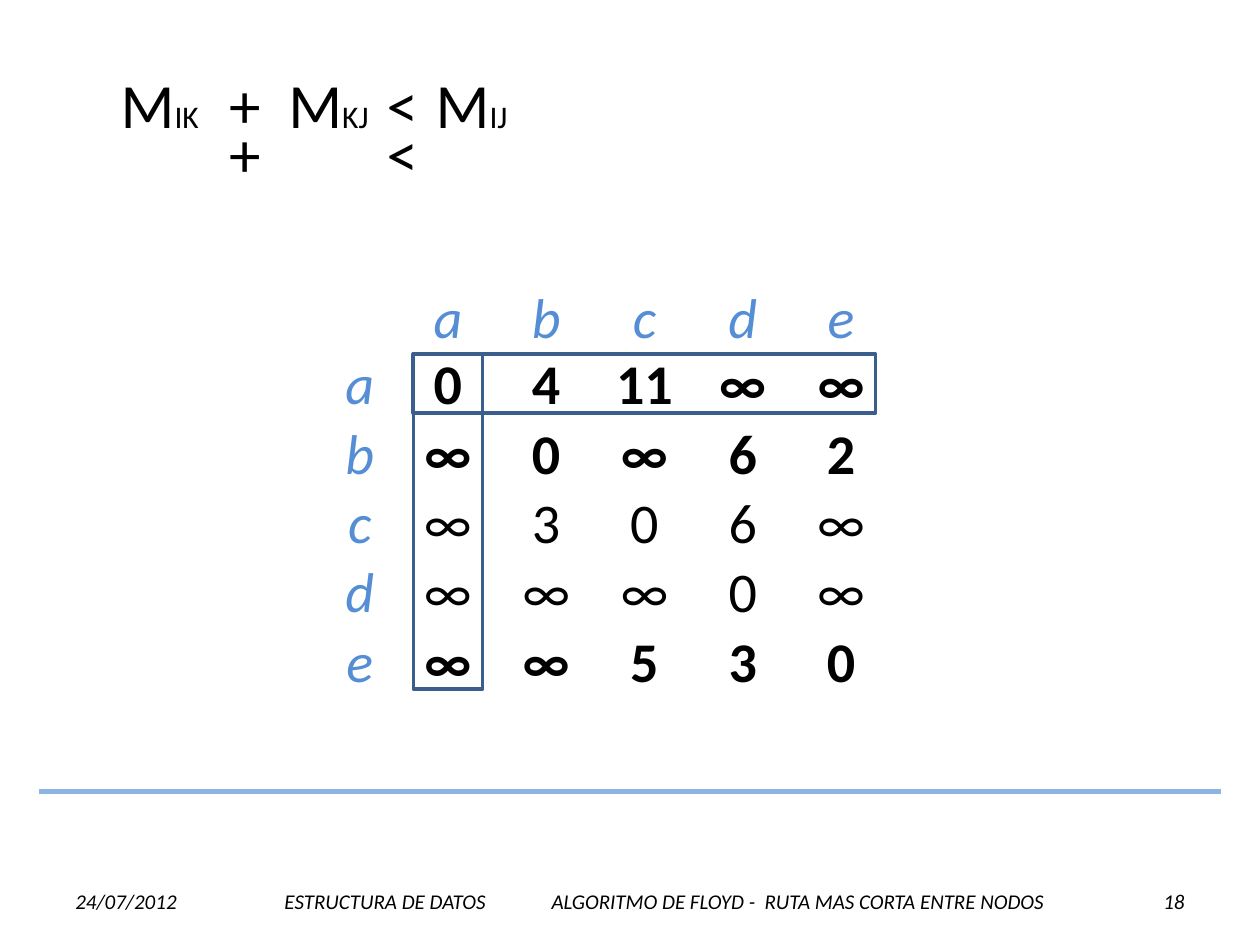
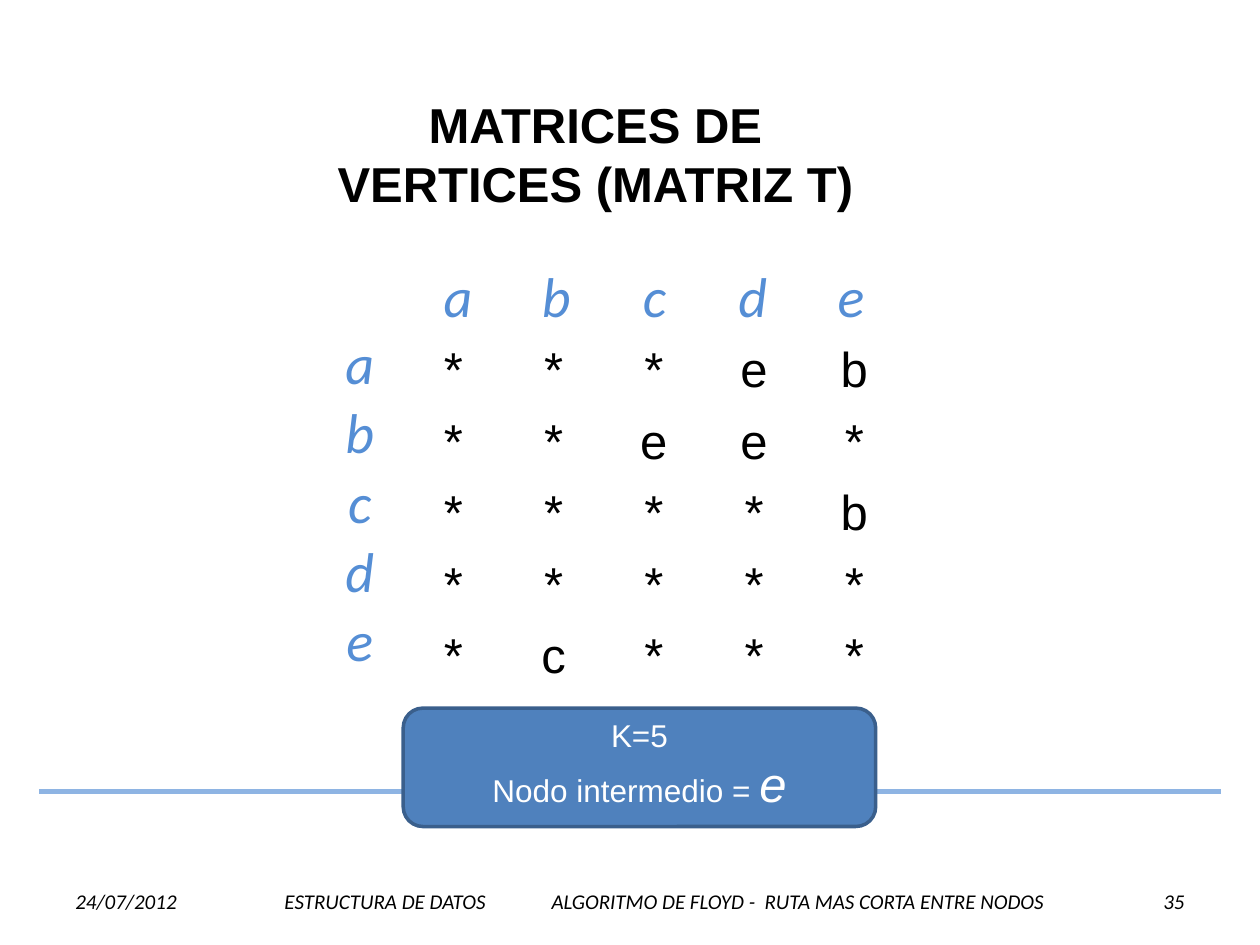
from dataclasses import dataclass

from lxml import etree
from pptx import Presentation
from pptx.dml.color import RGBColor
from pptx.enum.shapes import MSO_CONNECTOR, MSO_SHAPE
from pptx.enum.text import MSO_ANCHOR, MSO_AUTO_SIZE, PP_ALIGN
from pptx.oxml.ns import qn
from pptx.util import Pt

LEFT, MID, RIGHT = PP_ALIGN.LEFT, PP_ALIGN.CENTER, PP_ALIGN.RIGHT
TOP, HALF = MSO_ANCHOR.TOP, MSO_ANCHOR.MIDDLE
GROW, FIXED = MSO_AUTO_SIZE.SHAPE_TO_FIT_TEXT, MSO_AUTO_SIZE.NONE
RECT, ROUND = MSO_SHAPE.RECTANGLE, MSO_SHAPE.ROUNDED_RECTANGLE
STRAIGHT = MSO_CONNECTOR.STRAIGHT
PX = 9144  # 100 px to the inch


@dataclass(frozen=True)
class Theme:
    ink: RGBColor = RGBColor(0, 0, 0)
    paper: RGBColor = RGBColor(255, 255, 255)
    rule: RGBColor = RGBColor(0x8E, 0xB4, 0xE3)
    axis: RGBColor = RGBColor(0x55, 0x8E, 0xD5)
    fill: RGBColor = RGBColor(0x4F, 0x81, 0xBD)
    edge: RGBColor = RGBColor(0x3A, 0x5F, 0x8C)
    foot: int = Pt(12)
    note: int = Pt(18)
    head: int = Pt(28)
    cell: int = Pt(32)
    term: int = Pt(36)


T = Theme()
FOOT = {"name": "Calibri", "size": T.foot, "italic": True, "color": T.ink}
AXIS = {"name": "Calibri", "size": T.cell, "italic": True, "color": T.axis}
CELL = {"name": "Calibri", "size": T.cell, "color": T.ink}
TERM = {"name": "Calibri", "size": T.term, "color": T.ink}
SUB = TERM | {"size": T.note}
MARK = {"name": "Arial", "size": T.head, "color": T.ink}
HEAD = MARK | {"bold": True}
NOTE = {"name": "Arial", "size": T.note, "color": T.paper}
NODE = NOTE | {"size": T.head, "italic": True}


def write(para, runs, align=MID):
    """Fill a paragraph with (text, format) runs."""
    para.alignment = align
    for text, form in runs:
        run = para.add_run()
        run.text = text
        for key, val in form.items():
            if key == "color":
                run.font.color.rgb = val
            else:
                setattr(run.font, key, val)


def label(slide, spot, *paras, align=MID, anchor=TOP, fit=GROW):
    """Add a text box at spot, one list of runs for each paragraph."""
    frame = slide.shapes.add_textbox(*[n * PX for n in spot]).text_frame
    frame.word_wrap, frame.auto_size = True, fit
    frame.vertical_anchor = anchor
    for i, runs in enumerate(paras):
        write(frame.add_paragraph() if i else frame.paragraphs[0], runs, align)
    return frame


deck = Presentation()
deck.slide_width, deck.slide_height = 1000 * PX, 750 * PX

# Rule, footer and matrix axes on both slides
NODES = "abcde"
COL, ROW, WIDE, HIGH = 78, 55, 117, 64
slides = []
for num, left, top in (("18", 297, 219), ("35", 305, 203)):
    slide = deck.slides.add_slide(deck.slide_layouts[6])
    slides.append(slide)
    rule = slide.shapes.add_connector(STRAIGHT, 31 * PX, 628 * PX, 969 * PX, 628 * PX)
    rule.line.color.rgb, rule.line.width = T.rule, Pt(3)
    etree.SubElement(rule._element.spPr, qn("a:effectLst"))

    foot = {"anchor": HALF, "fit": FIXED}
    label(slide, (50, 695, 114, 40), [("24/07/2012", FOOT)], align=LEFT, **foot)
    label(slide, (883, 695, 67, 40), [(num, FOOT)], align=RIGHT, **foot)
    topic = "ESTRUCTURA DE DATOS\tALGORITMO DE FLOYD -\tRUTA MAS CORTA ENTRE NODOS"
    frame = label(slide, (216, 695, 660, 40), [(topic, FOOT)], align=LEFT, **foot)
    props = frame.paragraphs[0]._p.get_or_add_pPr()
    tabs = etree.SubElement(props, qn("a:tabLst"))
    for stop in (212, 381):
        etree.SubElement(tabs, qn("a:tab"), pos=str(stop * PX), algn="l")

    for i, node in enumerate(NODES):
        label(slide, (left + i * COL, top, WIDE, HIGH), [(node, AXIS)])
        label(slide, (227, top + 53 + i * ROW, WIDE, HIGH), [(node, AXIS)])

# Distance matrix, with the rows of a, b and e in bold
slide = slides[0]
costs = ("0 4 11 ∞ ∞", "∞ 0 ∞ 6 2", "∞ 3 0 6 ∞", "∞ ∞ ∞ 0 ∞", "∞ ∞ 5 3 0")
for r, (node, line) in enumerate(zip(NODES, costs)):
    form = CELL | {"bold": node in "abe"}
    for c, cost in enumerate(line.split()):
        label(slide, (297 + c * COL, 272 + r * ROW, WIDE, HIGH), [(cost, form)])

for left, sub in ((86, "IK"), (219, "KJ"), (336, "IJ")):
    label(slide, (left, 47, 102, 71), [("M", TERM), (sub, SUB)], align=LEFT)
for top in (47, 86):
    for left, sign in ((172, "+"), (297, "<")):
        label(slide, (left, top, 31, 71), [(sign, TERM)], align=LEFT)

# Outlined row and column, and the note panel
for slide, kind, spot in (
    (slides[0], RECT, (328, 281, 367, 47)),
    (slides[0], RECT, (328, 281, 55, 266)),
    (slides[1], ROUND, (320, 562, 375, 94)),
):
    box = slide.shapes.add_shape(kind, *[n * PX for n in spot])
    box.shadow.inherit = False
    box.line.color.rgb, box.line.width = T.edge, Pt(2)
    if kind == ROUND:
        box.fill.solid()
        box.fill.fore_color.rgb = T.fill
    else:
        box.fill.background()

# Vertex matrix
slide = slides[1]
label(slide, (242, 70, 461, 104), [("MATRICES DE VERTICES (MATRIZ T)", HEAD)])
label(
    slide, (328, 563, 359, 88),
    [("K=5", NOTE)],
    [("Nodo intermedio = ", NOTE), ("e", NODE)],
)
steps = ("***eb", "**ee*", "****b", "*****", "*c***")
grid = slide.shapes.add_table(5, 5, 320 * PX, 266 * PX, 398 * PX, 283 * PX).table
grid.first_row = grid.horz_banding = False
for r, line in enumerate(steps):
    for c, step in enumerate(line):
        cell = grid.cell(r, c)
        cell.fill.background()
        cell.vertical_anchor = HALF
        write(cell.text_frame.paragraphs[0], [(step, MARK)])

deck.save("out.pptx")
